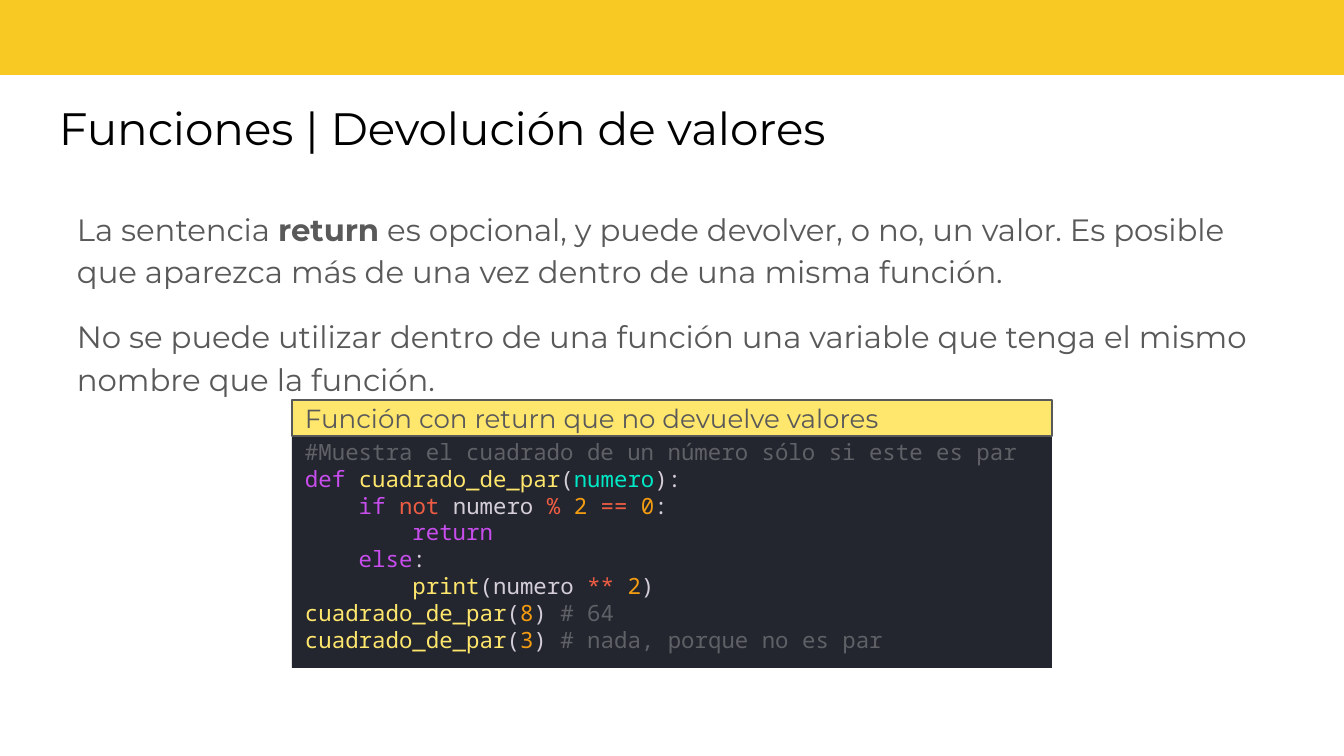
import pptx
import pptx.dml.color
import pptx.enum.shapes
import pptx.enum.text
import pptx.util

RGBColor = pptx.dml.color.RGBColor
ANCHOR = pptx.enum.text.MSO_ANCHOR

WHITE = RGBColor(0xFF, 0xFF, 0xFF)
BLACK = RGBColor(0x00, 0x00, 0x00)
BANNER = RGBColor(0xF8, 0xC8, 0x23)
GREY = RGBColor(0x59, 0x59, 0x59)
CODE_BG = RGBColor(0x23, 0x26, 0x2E)
COMMENT = RGBColor(0x5F, 0x61, 0x67)
KEYWORD = RGBColor(0xC7, 0x4D, 0xED)
YELLOW = RGBColor(0xFF, 0xE6, 0x6D)
PLAIN = RGBColor(0xD5, 0xCE, 0xD9)
PARAMETER = RGBColor(0x00, 0xE8, 0xC6)
OPERATOR = RGBColor(0xEE, 0x5D, 0x43)
NUMBER = RGBColor(0xF3, 0x9C, 0x12)

SANS = "Montserrat"
MONO = "Noto Sans Mono"
PX_PER_INCH = 134.4

BODY = [
    [("La sentencia ", {}), ("return", {"bold": True}),
     (" es opcional, y puede devolver, o no, un valor. Es posible que "
      "aparezca más de una vez dentro de una misma función.", {})],
    [("No se puede utilizar dentro de una función una variable que tenga "
      "el mismo nombre que la función.", {})],
]

CODE_TITLE = "Función con return que no devuelve valores"


def call_line(argument, comment):
    return [("cuadrado_de_par", YELLOW), ("(", PLAIN), (argument, NUMBER),
            (") ", PLAIN), (comment, COMMENT)]


CODE = [
    [("#Muestra el cuadrado de un número sólo si este es par", COMMENT)],
    [("def ", KEYWORD), ("cuadrado_de_par", YELLOW), ("(", PLAIN),
     ("numero", PARAMETER), ("):", PLAIN)],
    [("    if ", KEYWORD), ("not", OPERATOR), (" numero ", PLAIN),
     ("% ", OPERATOR), ("2 ", NUMBER), ("== ", OPERATOR), ("0", NUMBER),
     (":", PLAIN)],
    [("        return", KEYWORD)],
    [("    else", KEYWORD), (":", PLAIN)],
    [("        print", YELLOW), ("(numero ", PLAIN), ("** ", OPERATOR),
     ("2", NUMBER), (")", PLAIN)],
    call_line("8", "# 64"),
    call_line("3", "# nada, porque no es par"),
]


def px(n):
    return pptx.util.Emu(round(n * 914400 / PX_PER_INCH))


def write(sp, paragraphs, size, font, color=BLACK, anchor=ANCHOR.TOP,
          inset=(13, 13), line_spacing=None, gap=0):
    """Fill a shape with paragraphs, each a list of (text, run format)."""
    tf = sp.text_frame
    tf.word_wrap = True
    tf.auto_size = pptx.enum.text.MSO_AUTO_SIZE.NONE
    tf.vertical_anchor = anchor
    tf.margin_left = tf.margin_right = px(inset[0])
    tf.margin_top = tf.margin_bottom = px(inset[1])
    for i, runs in enumerate(paragraphs):
        p = tf.add_paragraph() if i else tf.paragraphs[0]
        p.alignment = pptx.enum.text.PP_ALIGN.LEFT
        if line_spacing:
            p.line_spacing = line_spacing
        if i and gap:
            p.space_before = pptx.util.Pt(gap)
        for text, style in runs:
            r = p.add_run()
            r.text = text
            r.font.size = pptx.util.Pt(size)
            r.font.name = font
            r.font.bold = style.get("bold", False)
            r.font.color.rgb = style.get("color", color)


def add_rect(slide, x, y, w, h, fill, line=None):
    sp = slide.shapes.add_shape(pptx.enum.shapes.MSO_SHAPE.RECTANGLE,
                                px(x), px(y), px(w), px(h))
    sp.shadow.inherit = False
    sp.fill.solid()
    sp.fill.fore_color.rgb = fill
    if line is None:
        sp.line.fill.background()
    else:
        sp.line.color.rgb = line
        sp.line.width = pptx.util.Pt(0.75)
    return sp


def add_title(slide, x, y, w, h):
    sp = slide.shapes.title
    sp.left, sp.top, sp.width, sp.height = px(x), px(y), px(w), px(h)
    write(sp, [[("Funciones | Devolución de valores", {})]], 24.3, SANS)


def add_body(slide, x, y, w, h):
    sp = slide.shapes.add_textbox(px(x), px(y), px(w), px(h))
    write(sp, BODY, 16.5, SANS, color=GREY, line_spacing=1.15, gap=12)


def add_code_panel(slide, x, y, w, h):
    """Code on a dark ground, with a title strip over its top edge."""
    code_top, strip_h = 31, 36
    code = add_rect(slide, x, y + code_top, w, h - code_top, CODE_BG)
    lines = [[(text, {"color": color}) for text, color in line]
             for line in CODE]
    write(code, lines, 12, MONO, inset=(13, 7))
    strip = add_rect(slide, x, y, w, strip_h, YELLOW, line=GREY)
    write(strip, [[(CODE_TITLE, {})]], 14, SANS, color=GREY,
          anchor=ANCHOR.MIDDLE, inset=(13, 7))


def main():
    prs = pptx.Presentation()
    prs.slide_width, prs.slide_height = px(1344), px(756)
    slide = prs.slides.add_slide(prs.slide_layouts.get_by_name("Title Only"))
    slide.background.fill.solid()
    slide.background.fill.fore_color.rgb = WHITE
    add_rect(slide, -1, -7, 1348, 82, BANNER)
    add_title(slide, 46, 87, 1250, 85)
    add_body(slide, 64, 192, 1217, 219)
    add_code_panel(slide, 292, 400, 760, 268)
    prs.save("out.pptx")


if __name__ == "__main__":
    main()
